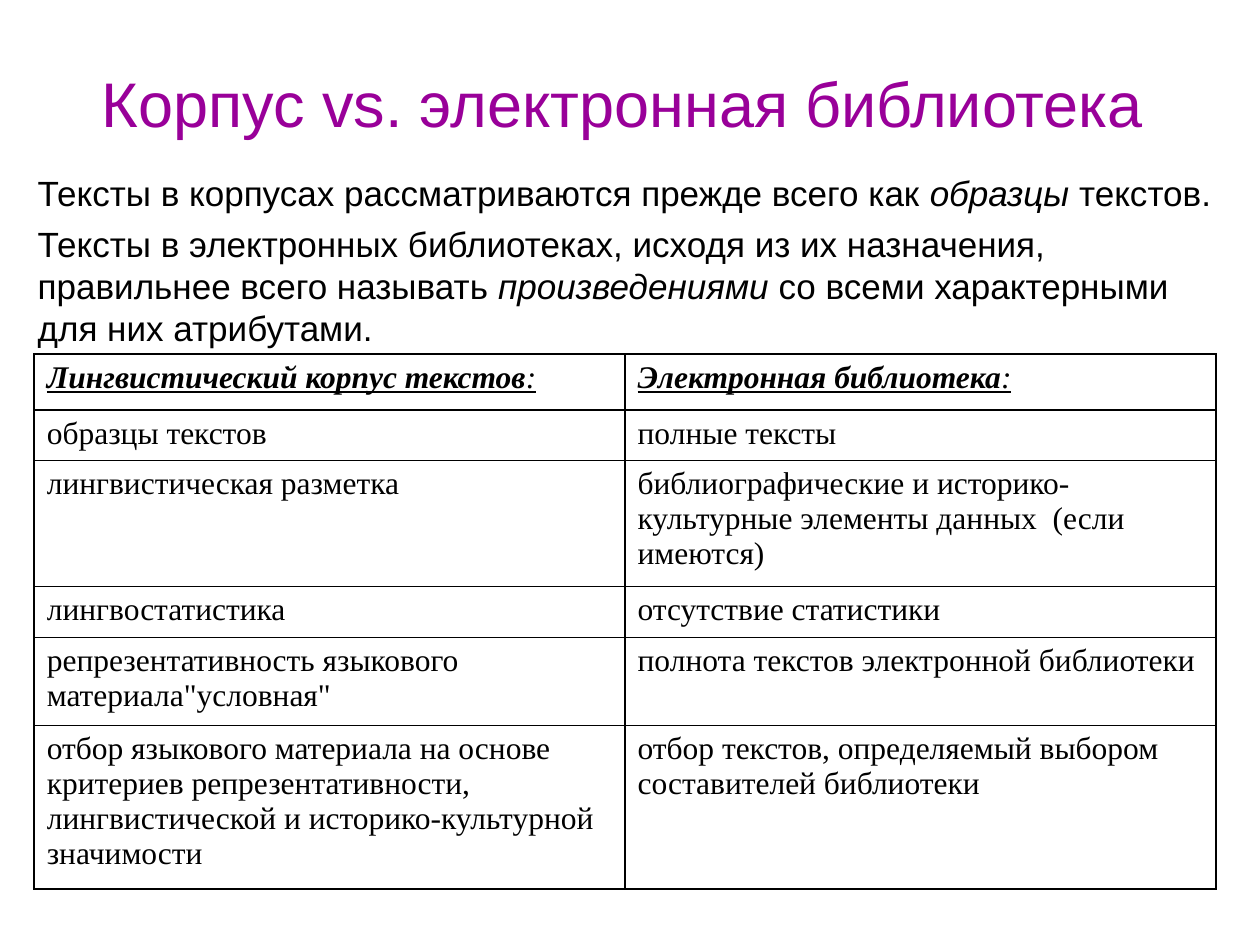
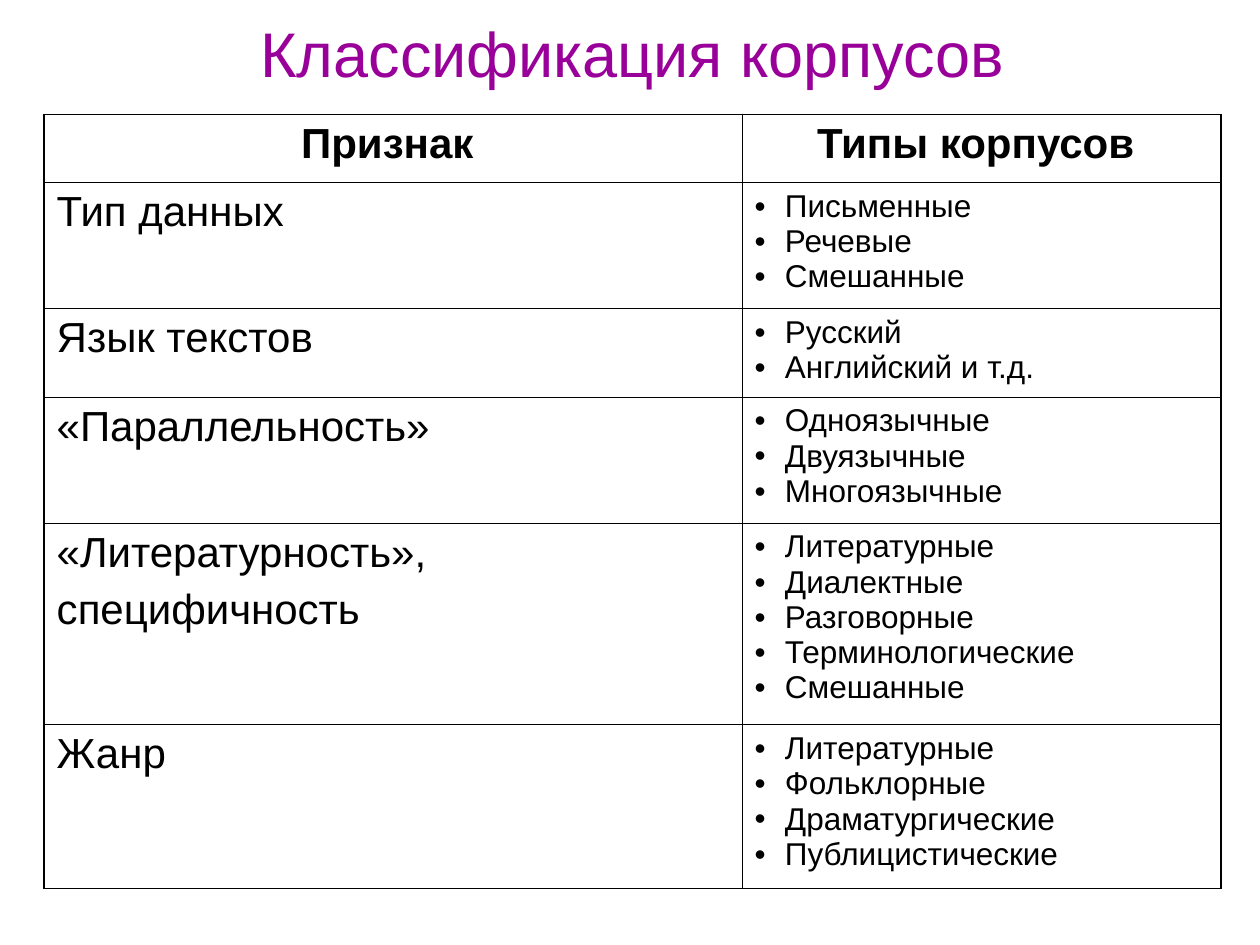
from dataclasses import dataclass

from lxml.etree import SubElement as Sub
from pptx import Presentation
from pptx.dml.color import RGBColor as Rgb
from pptx.enum.text import MSO_ANCHOR as Anchor, PP_ALIGN as Align
from pptx.oxml.ns import qn
from pptx.util import Cm, Pt


@dataclass(frozen=True)
class Theme:
    title_color: str = "990099"
    text_color: str = "000000"
    sans: str = "Arial"
    serif: str = "Times New Roman"
    title_size: int = 36
    heading_size: int = 24
    body_size: int = 20
    cell_size: int = 18
    thick: float = 1.08
    thin: float = 0.45


THEME = Theme()


def write(paragraph, text, size=THEME.cell_size, font=THEME.sans, color=THEME.text_color,
          bold=False, italic=False, underline=False):
    run = paragraph.add_run()
    run.text = text
    run.font.size = Pt(size)
    run.font.name = font
    run.font.color.rgb = Rgb.from_string(color)
    run.font.bold = bold
    run.font.italic = italic
    run.font.underline = underline


class Deck:
    """Builds slides in one shared style."""

    def __init__(self, theme):
        self.theme = theme
        self.presentation = Presentation()
        self.presentation.slide_width = Cm(25.4)
        self.presentation.slide_height = Cm(19.05)
        self.slide = None

    def new_slide(self):
        self.slide = self.presentation.slides.add_slide(self.presentation.slide_layouts[6])

    def fill_frame(self, frame, paragraphs, align=Align.LEFT, gap=0, bullet=False, **style):
        for index, runs in enumerate(paragraphs):
            paragraph = frame.paragraphs[0] if index == 0 else frame.add_paragraph()
            paragraph.alignment = align
            if index and gap:
                paragraph.space_before = Pt(gap)
            if bullet:
                self.add_bullet(paragraph)
            for text, extra in [(runs, {})] if isinstance(runs, str) else runs:
                write(paragraph, text, **{**style, **extra})

    def add_bullet(self, paragraph):
        properties = paragraph._p.get_or_add_pPr()
        indent = Cm(0.61)
        properties.set("marL", str(indent))
        properties.set("indent", str(-indent))
        color = Sub(properties, qn("a:buClr"))
        Sub(color, qn("a:srgbClr"), val=self.theme.text_color)
        Sub(properties, qn("a:buFont"), typeface=self.theme.sans)
        Sub(properties, qn("a:buChar"), char="•")

    def add_text(self, box, paragraphs, anchor=Anchor.TOP, **style):
        frame = self.slide.shapes.add_textbox(*map(Cm, box)).text_frame
        frame.word_wrap = True
        frame.vertical_anchor = anchor
        self.fill_frame(frame, paragraphs, **style)

    def add_title(self, box, text):
        self.add_text(box, [text], anchor=Anchor.MIDDLE, align=Align.CENTER,
                      size=self.theme.title_size, color=self.theme.title_color)

    def add_grid(self, left, top, widths, heights, inner_vertical, header_rule):
        shape = self.slide.shapes.add_table(len(heights), len(widths), Cm(left), Cm(top),
                                            Cm(sum(widths)), Cm(sum(heights)))
        table = shape.table
        table.first_row = table.horz_banding = False
        for column, width in zip(table.columns, widths):
            column.width = Cm(width)
        for row, height in zip(table.rows, heights):
            row.height = Cm(height)
        thick, thin = self.theme.thick, self.theme.thin
        verticals = [thick] + [inner_vertical] * (len(widths) - 1) + [thick]
        horizontals = [thick, header_rule] + [thin] * (len(heights) - 2) + [thick]
        for r in range(len(heights)):
            for c in range(len(widths)):
                cell = table.cell(r, c)
                self.add_borders(cell, L=verticals[c], R=verticals[c + 1],
                                 T=horizontals[r], B=horizontals[r + 1])
                cell.fill.background()
        return table

    def add_borders(self, cell, **sides):
        properties = cell._tc.get_or_add_tcPr()
        for side, width in sides.items():
            line = Sub(properties, qn(f"a:ln{side}"), w=str(Pt(width)))
            fill = Sub(line, qn("a:solidFill"))
            Sub(fill, qn("a:srgbClr"), val=self.theme.text_color)


def add_comparison(deck):
    theme = deck.theme
    deck.new_slide()
    deck.add_title((0.69, 0.86, 23.72, 2.41), "Корпус vs. электронная библиотека")
    emphasis = {"italic": True}
    deck.add_text((0.51, 3.33, 24.41, 4.88), [
        [("Тексты в корпусах рассматриваются прежде всего как ", {}),
         ("образцы", emphasis), (" текстов.", {})],
        [("Тексты в электронных библиотеках, исходя из их назначения, "
          "правильнее всего называть ", {}),
         ("произведениями", emphasis), (" со всеми характерными для них атрибутами.", {})],
    ], gap=5, size=theme.body_size)

    headings = ["Лингвистический корпус текстов", "Электронная библиотека"]
    differences = [
        ("образцы текстов", "полные тексты"),
        ("лингвистическая разметка",
         "библиографические и историко-культурные элементы данных  (если имеются)"),
        ("лингвостатистика", "отсутствие статистики"),
        ('репрезентативность языкового материала"условная"',
         "полнота текстов электронной библиотеки"),
        ("отбор языкового материала на основе критериев репрезентативности, "
         "лингвистической и историко-культурной значимости",
         "отбор текстов, определяемый выбором составителей библиотеки"),
    ]
    table = deck.add_grid(0.69, 7.14, [11.91] * 2, [1.12, 1.02, 2.54, 1.02, 1.78, 3.3],
                          inner_vertical=theme.thick, header_rule=theme.thick)
    for c, heading in enumerate(headings):
        deck.fill_frame(table.cell(0, c).text_frame, [[(heading, {"bold": True}), (":", {})]],
                        font=theme.serif, italic=True, underline=True)
    for r, difference in enumerate(differences, 1):
        for c, text in enumerate(difference):
            deck.fill_frame(table.cell(r, c).text_frame, [text], font=theme.serif)


def add_classification(deck):
    theme = deck.theme
    deck.new_slide()
    deck.add_title((0.89, 0, 23.72, 2.13), "Классификация корпусов")
    features = [
        (["Тип данных"], ["Письменные", "Речевые", "Смешанные"]),
        (["Язык текстов"], ["Русский", "Английский и т.д."]),
        (["«Параллельность»"], ["Одноязычные", "Двуязычные", "Многоязычные"]),
        (["«Литературность»,", "специфичность"],
         ["Литературные", "Диалектные", "Разговорные", "Терминологические", "Смешанные"]),
        (["Жанр"], ["Литературные", "Фольклорные", "Драматургические", "Публицистические"]),
    ]
    table = deck.add_grid(0.89, 2.31, [14.07, 9.65], [1.37, 2.54, 1.78, 2.54, 4.06, 3.3],
                          inner_vertical=theme.thin, header_rule=theme.thin)
    for c, heading in enumerate(["Признак ", "Типы корпусов "]):
        deck.fill_frame(table.cell(0, c).text_frame, [heading], align=Align.CENTER,
                        size=theme.heading_size, bold=True)
    for r, (feature, kinds) in enumerate(features, 1):
        deck.fill_frame(table.cell(r, 0).text_frame, feature, gap=6, size=theme.heading_size)
        deck.fill_frame(table.cell(r, 1).text_frame, kinds, bullet=True)


def main():
    deck = Deck(THEME)
    add_comparison(deck)
    add_classification(deck)
    deck.presentation.save("out.pptx")


if __name__ == "__main__":
    main()
